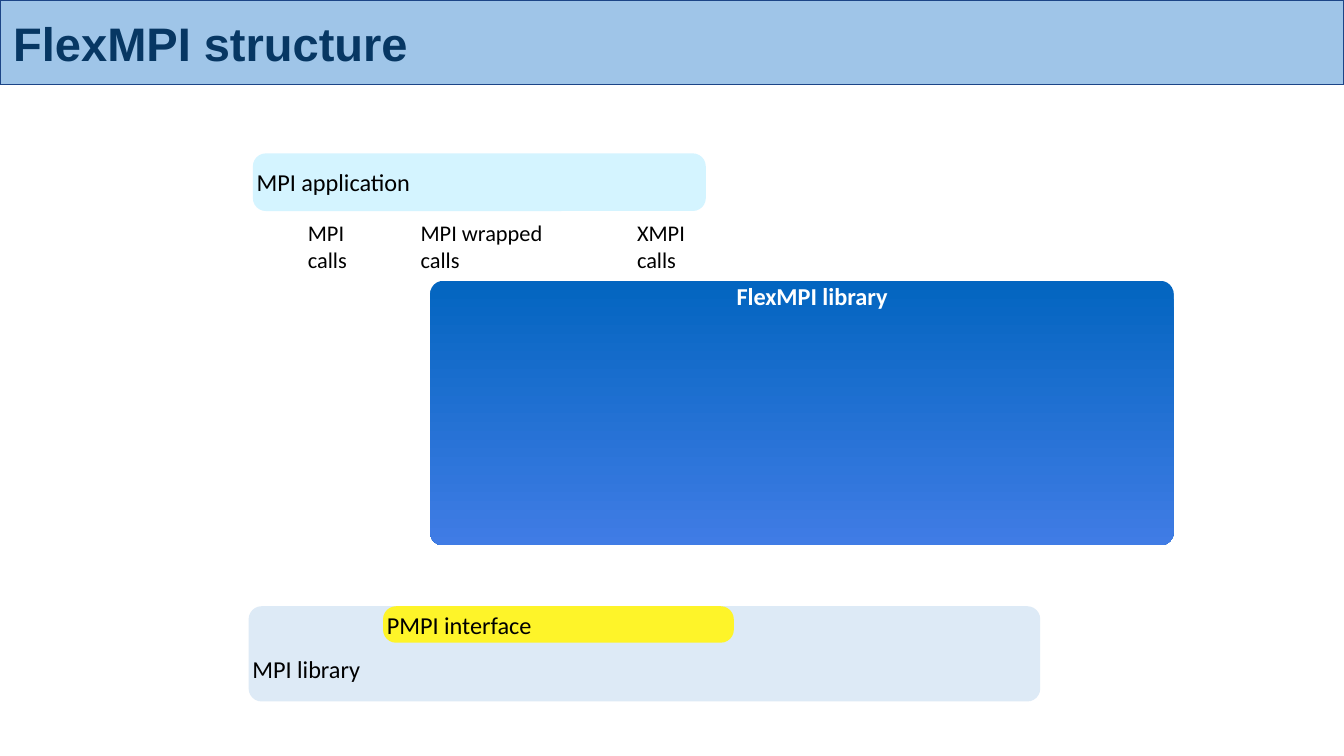
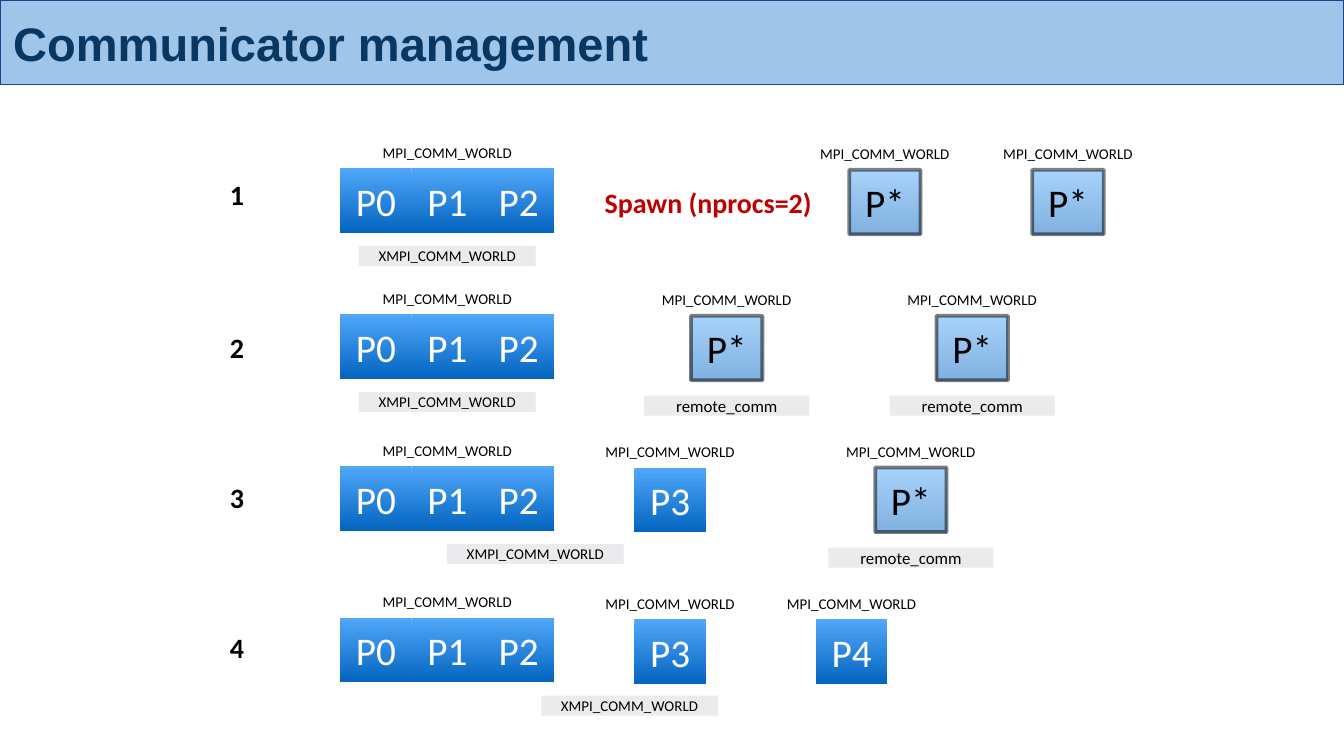
from lxml.etree import SubElement
from pptx import Presentation
from pptx.dml.color import RGBColor
from pptx.enum.shapes import MSO_SHAPE as Preset
from pptx.enum.text import MSO_ANCHOR as Anchor, MSO_AUTO_SIZE as AutoSize, PP_ALIGN as Align
from pptx.oxml.ns import qn
from pptx.util import Cm, Pt

WIDTH, HEIGHT = 25.4, 14.29
TITLE_HEIGHT = 1.6
TITLE_ONLY = 5

PROCESS_WIDTH, PROCESS_HEIGHT = 1.35, 1.22
LABEL_HEIGHT = 0.38
GROUP_LEFT = 6.43
GROUP_CENTER = GROUP_LEFT + 1.5 * PROCESS_WIDTH
BLUES = ("51A7F9", "0365C0")
GREY = "EBEAEC"


def color(hex_string):
    return RGBColor.from_string(hex_string)


def set_attributes(target, values):
    for name, value in values.items():
        setattr(target, name, value)


class Deck:
    font = "Calibri"
    title_font = "Arial"
    band_fill, band_line, title_color = "9FC5E8", "1C4587", "073763"

    def __init__(self):
        self.presentation = Presentation()
        set_attributes(self.presentation, {"slide_width": Cm(WIDTH), "slide_height": Cm(HEIGHT)})
        self.slide = None

    def add_slide(self, title):
        layout = self.presentation.slide_layouts[TITLE_ONLY]
        self.slide = self.presentation.slides.add_slide(layout)
        shape = self.slide.shapes.title
        self.place(shape, 0, 0, WIDTH, TITLE_HEIGHT)
        self.paint(shape, self.band_fill)
        shape.line.color.rgb = color(self.band_line)
        shape.line.width = Pt(0.75)
        self.set_text(shape, title, 25.2, self.title_color, bold=True, font=self.title_font,
                      inset=0.25, anchor=Anchor.BOTTOM)

    def place(self, shape, left, top, width, height):
        set_attributes(shape, {"left": Cm(left), "top": Cm(top),
                               "width": Cm(width), "height": Cm(height)})

    def paint(self, shape, fill):
        """Fill with one colour, or with a top-to-bottom gradient for a pair."""
        if isinstance(fill, str):
            shape.fill.solid()
            shape.fill.fore_color.rgb = color(fill)
            return
        shape.fill.gradient()
        shape.fill.gradient_angle = 270
        for stop, stop_color, position in zip(shape.fill.gradient_stops, fill, (0, 1)):
            stop.color.rgb = color(stop_color)
            stop.position = position

    def set_text(self, shape, text, size, text_color="000000", bold=False, align=Align.LEFT,
                 font=None, inset=0, inset_top=None, anchor=Anchor.MIDDLE):
        frame = shape.text_frame
        top = inset if inset_top is None else inset_top
        set_attributes(frame, {
            "word_wrap": True, "auto_size": AutoSize.NONE, "vertical_anchor": anchor,
            "margin_left": Cm(inset), "margin_right": Cm(inset),
            "margin_top": Cm(top), "margin_bottom": Cm(inset)})
        paragraph = frame.paragraphs[0]
        paragraph.alignment = align
        run = paragraph.add_run()
        run.text = text
        set_attributes(run.font, {"name": font or self.font, "size": Pt(size), "bold": bold})
        run.font.color.rgb = color(text_color)

    def text(self, box, text, size, **style):
        shape = self.slide.shapes.add_textbox(*map(Cm, box))
        self.set_text(shape, text, size, **style)

    def shape(self, preset, box, fill):
        shape = self.slide.shapes.add_shape(preset, *map(Cm, box))
        shape.shadow.inherit = False
        self.paint(shape, fill)
        shape.line.fill.background()
        return shape

    def panel(self, box, radius, fill, text=None, **style):
        shape = self.shape(Preset.ROUNDED_RECTANGLE, box, fill)
        shape.adjustments[0] = radius
        if text:
            self.set_text(shape, text, 13, **style)

    def process(self, left, top, name):
        """Draw one process; P* is a spawned one that has not joined yet."""
        shape = self.shape(Preset.RECTANGLE, (left, top, PROCESS_WIDTH, PROCESS_HEIGHT), BLUES)
        pending = name == "P*"
        if pending:
            shape.line.color.rgb = color("000000")
            shape.line.width = Pt(2)
            for element in list(shape.element.spPr.iter(qn("a:srgbClr"))):
                SubElement(element, qn("a:alpha"), val="50000")
        self.set_text(shape, name, 21, "000000" if pending else "FFFFFF", align=Align.CENTER)

    def label(self, center, top, text, width=3.12, size=8, fill="FFFFFF"):
        box = (center - width / 2, top, width, LABEL_HEIGHT)
        shape = self.shape(Preset.RECTANGLE, box, fill)
        self.set_text(shape, text, size, align=Align.CENTER)

    def world(self, center, process_top):
        self.label(center, process_top - 0.49, "MPI_COMM_WORLD")

    def step_number(self, top, number):
        shape = self.shape(Preset.OVAL, (3.78, top, 1.4, 1.04), "FFFFFF")
        self.set_text(shape, str(number), 15, bold=True, align=Align.CENTER)


def build_structure(deck):
    deck.add_slide("FlexMPI structure")
    deck.panel((4.7, 11.46, 14.96, 1.8), 0.135, "DDEAF6", "MPI library", inset_top=0.56)
    deck.panel((8.13, 5.31, 14.05, 5), 0.049, ("0365C0", "407CE5"))
    for left, width, text in ((5.74, 1.52, "MPI calls"),
                              (7.87, 2.97, "MPI wrapped calls"),
                              (11.96, 1.7, "XMPI calls")):
        deck.text((left, 4.37, width, 0.56), text, 12, inset=0.08)
    deck.text((13.84, 5.28, 4.11, 0.61), "FlexMPI library", 13,
              text_color="FFFFFF", bold=True, inset=0.08)
    deck.panel((7.24, 11.46, 6.63, 0.69), 0.357, "FEF429", "PMPI interface")
    deck.panel((4.78, 2.9, 8.56, 1.09), 0.224, "D4F4FF", "MPI application")


def build_communicators(deck):
    deck.add_slide("Communicator management")
    # number top, process top, centre of XMPI_COMM_WORLD, single processes, remote_comm shown
    steps = (
        (3.15, 3.18, GROUP_CENTER, ((16.05, "P*"), (19.51, "P*")), False),
        (6.05, 5.94, GROUP_CENTER, ((13.06, "P*"), (17.7, "P*")), True),
        (8.89, 8.81, 10.12, ((11.99, "P3"), (16.54, "P*")), True),
        (11.71, 11.68, 11.9, ((11.99, "P3"), (15.42, "P4")), False),
    )
    for number, (number_top, top, xmpi_center, singles, remote) in enumerate(steps, 1):
        deck.step_number(number_top, number)
        for index in range(3):
            deck.process(GROUP_LEFT + index * PROCESS_WIDTH, top, f"P{index}")
        deck.world(GROUP_CENTER, top)
        deck.label(xmpi_center, top + 1.47, "XMPI_COMM_WORLD", width=3.34, fill=GREY)
        single_top = top + 0.03
        for left, name in singles:
            center = left + PROCESS_WIDTH / 2
            deck.process(left, single_top, name)
            deck.world(center, single_top)
            if remote and name == "P*":
                deck.label(center, top + 1.54, "remote_comm", size=9, fill=GREY)
    deck.text((11.3, 3.4, 4.17, 0.86), "Spawn (nprocs=2)", 15,
              text_color="C00000", bold=True, align=Align.CENTER, inset=0.1)


def main():
    deck = Deck()
    build_structure(deck)
    build_communicators(deck)
    deck.presentation.save("out.pptx")


if __name__ == "__main__":
    main()
